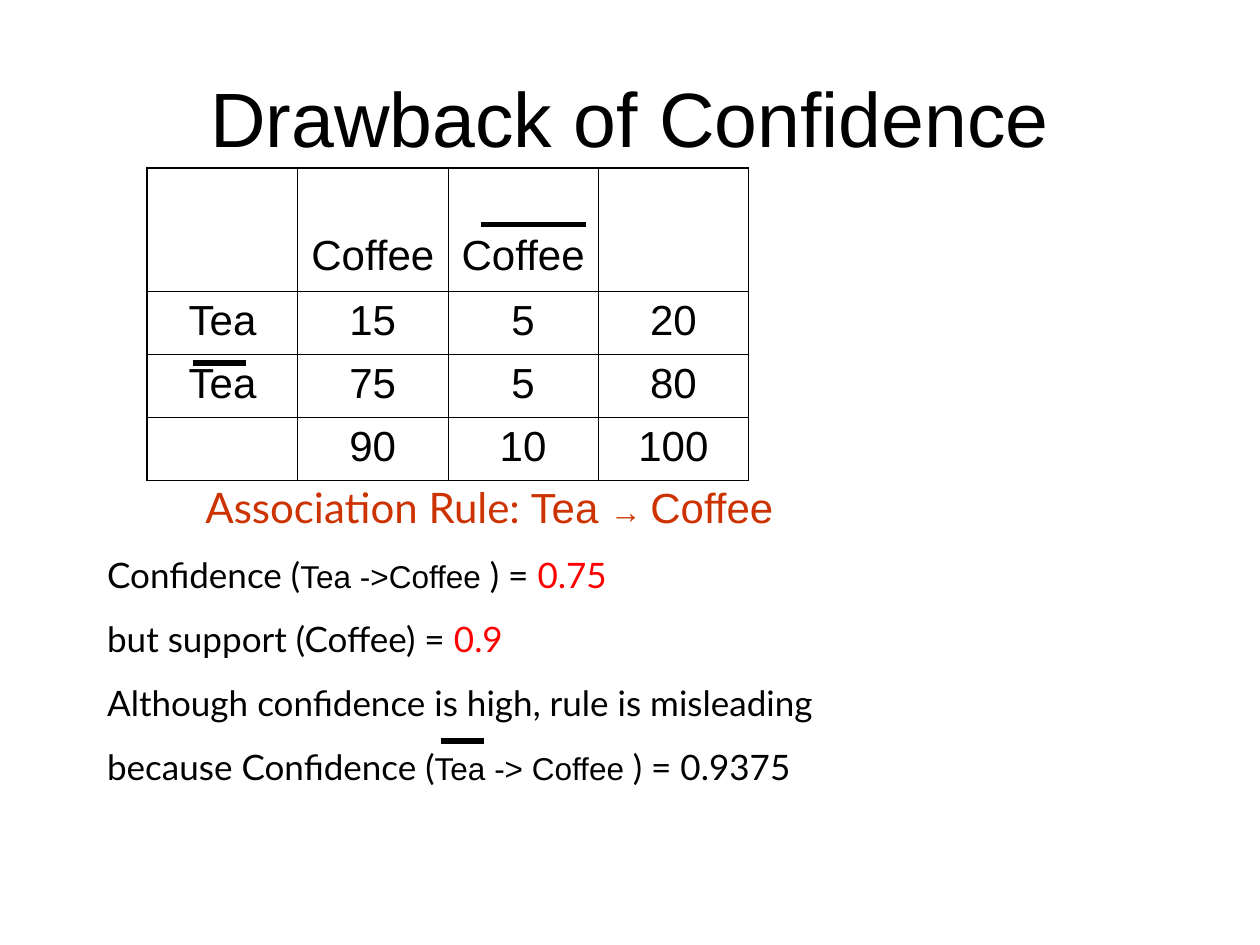
from lxml import etree
from pptx import Presentation
from pptx import util as u
from pptx.dml.color import RGBColor
from pptx.enum import shapes, text
from pptx.oxml.ns import qn

BLACK = RGBColor(0x00, 0x00, 0x00)
RUST = RGBColor(0xCC, 0x33, 0x00)
RED = RGBColor(0xFF, 0x00, 0x00)
SANS, BODY = "Arial", "Lato"

TITLE = "Drawback of Confidence"
COUNTS = [
    ["", "Coffee", "Coffee", ""],
    ["Tea", "15", "5", "20"],
    ["Tea", "75", "5", "80"],
    ["", "90", "10", "100"],
]
RULE = [
    ("Association Rule: ", dict(size=24, color=RUST)),
    ("Tea ", dict(size=24, font=SANS, color=RUST)),
    ("→ ", dict(size=18, font=SANS, color=RUST)),
    ("Coffee", dict(size=24, font=SANS, color=RUST)),
]
FINDINGS = [
    [("Confidence (", {}), ("Tea ->Coffee ", dict(size=18, font=SANS)),
     (") = ", {}), ("0.75", dict(color=RED))],
    [("but support (Coffee) = ", {}), ("0.9", dict(color=RED))],
    [("Although confidence is high, rule is misleading", {})],
    [("because Confidence", {}), (" ", dict(size=18, font=SANS)), ("(", {}),
     ("Tea -> Coffee ", dict(size=18, font=SANS)), (") = 0.9375", {})],
]
NEGATION_BARS = [(9.7, 4.52, 2.11), (3.89, 7.32, 1.06), (8.89, 14.94, 0.86)]

COL_WIDTH = 3.03
ROW_HEIGHTS = [2.49, 1.27, 1.27, 1.27]
HEADER_TOP = 1.31
THICK, THIN = 1.08, 0.45


def add_run(p, content, size=20, font=BODY, color=BLACK):
    r = p.add_run()
    r.text = content
    r.font.size = u.Pt(size)
    r.font.name = font
    r.font.color.rgb = color


def add_box(s, x, y, w, h, anchor):
    tf = s.shapes.add_textbox(u.Cm(x), u.Cm(y), u.Cm(w), u.Cm(h)).text_frame
    tf.word_wrap = True
    tf.vertical_anchor = anchor
    return tf


def set_borders(cell, widths):
    tc_pr = cell._tc.get_or_add_tcPr()
    for i, (side, width) in enumerate(widths.items()):
        ln = etree.Element(qn("a:ln" + side), w=str(u.Pt(width)))
        fill = etree.SubElement(ln, qn("a:solidFill"))
        etree.SubElement(fill, qn("a:srgbClr"), val=str(BLACK))
        tc_pr.insert(i, ln)


def add_counts(s, x, y):
    n_rows, n_cols = len(COUNTS), len(COUNTS[0])
    frame = s.shapes.add_table(n_rows, n_cols, u.Cm(x), u.Cm(y),
                               u.Cm(COL_WIDTH * n_cols), u.Cm(sum(ROW_HEIGHTS)))
    table = frame.table
    table.first_row = table.horz_banding = False
    for col in table.columns:
        col.width = u.Cm(COL_WIDTH)
    for i, values in enumerate(COUNTS):
        table.rows[i].height = u.Cm(ROW_HEIGHTS[i])
        for j, value in enumerate(values):
            cell = table.cell(i, j)
            cell.fill.background()
            set_borders(cell, {
                "L": THICK if j == 0 else THIN,
                "R": THICK if j == n_cols - 1 else THIN,
                "T": THICK if i == 0 else THIN,
                "B": THICK if i == n_rows - 1 else THIN,
            })
            if value:
                if i == 0:
                    cell.margin_top = u.Cm(HEADER_TOP)
                p = cell.text_frame.paragraphs[0]
                p.alignment = text.PP_ALIGN.CENTER
                add_run(p, value, size=24, font=SANS)


def add_bar(s, x, y, length):
    line = s.shapes.add_connector(shapes.MSO_CONNECTOR.STRAIGHT, u.Cm(x), u.Cm(y),
                                  u.Cm(x + length), u.Cm(y))
    line.line.color.rgb = BLACK
    line.line.width = u.Pt(3)
    etree.SubElement(line._element.spPr, qn("a:effectLst"))


def main():
    prs = Presentation()
    prs.slide_width, prs.slide_height = u.Cm(25.4), u.Cm(19.05)
    s = prs.slides.add_slide(prs.slide_layouts[6])

    tf = add_box(s, 1.27, 0.76, 22.86, 3.18, text.MSO_ANCHOR.MIDDLE)
    p = tf.paragraphs[0]
    p.alignment = text.PP_ALIGN.CENTER
    add_run(p, TITLE, size=44, font=SANS)

    add_counts(s, 2.97, 3.38)

    tf = add_box(s, 1.91, 9.58, 20.52, 6.43, text.MSO_ANCHOR.TOP)
    p = tf.paragraphs[0]
    p._p.get_or_add_pPr().set("marL", str(u.Cm(1.98)))
    for content, style in RULE:
        add_run(p, content, **style)
    for finding in FINDINGS:
        p = tf.add_paragraph()
        p.space_before = u.Pt(12.5)
        for content, style in finding:
            add_run(p, content, **style)

    for bar in NEGATION_BARS:
        add_bar(s, *bar)
    prs.save("out.pptx")


if __name__ == "__main__":
    main()
